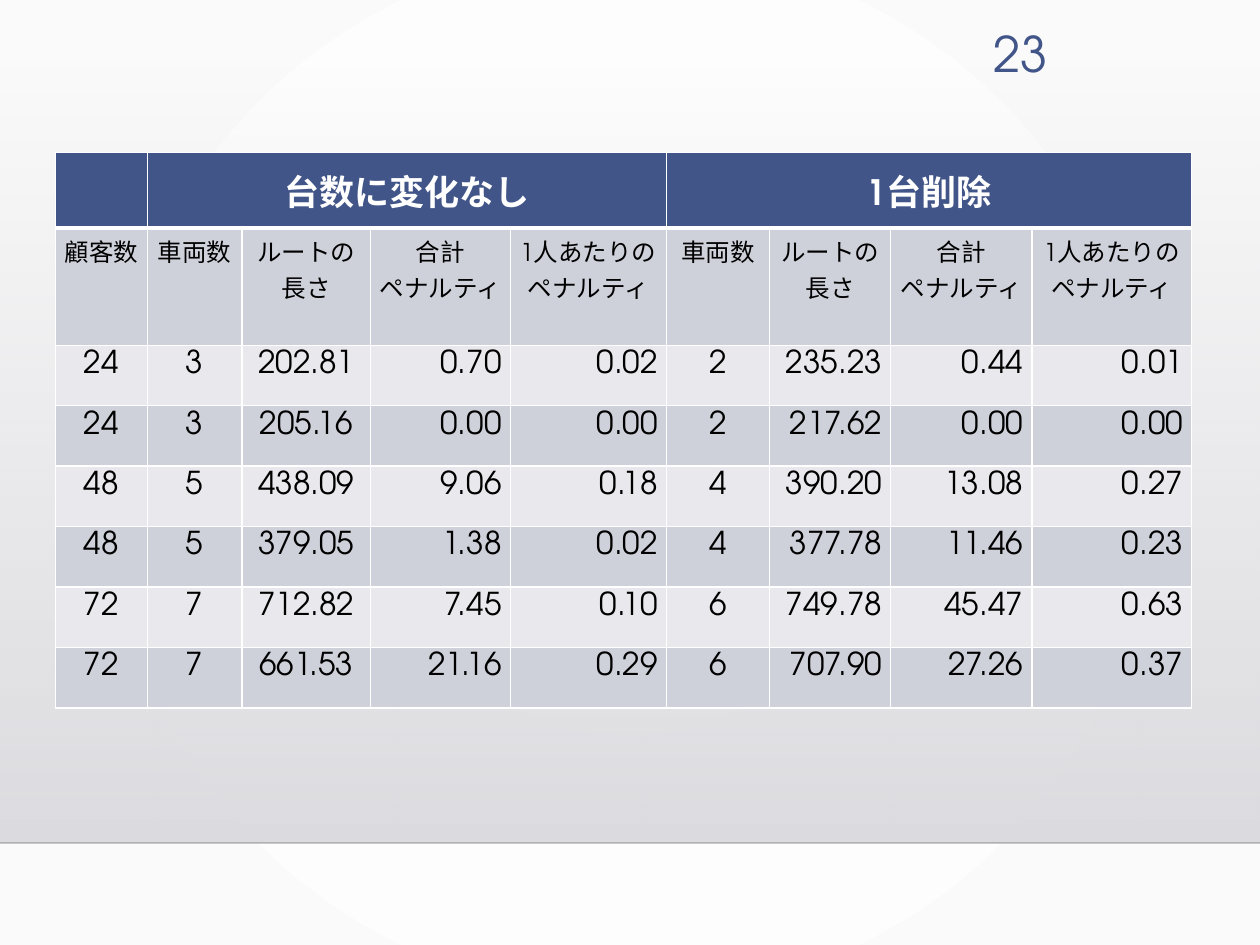
import pptx
import pptx.dml.color
import pptx.enum.shapes
import pptx.enum.text
import pptx.oxml
import pptx.oxml.ns
import pptx.util

WIDTH, HEIGHT = 10, 7.5
PANEL_TOP, PANEL_BOTTOM = 0.51, 6.69
FONT = "TeX Gyre Adventor"
NAVY, WHITE, BLACK = "415588", "FFFFFF", "000000"
BANDS = ["CFD1DA", "E9E9ED"]
ALIGN = pptx.enum.text.PP_ALIGN
ANCHOR = pptx.enum.text.MSO_ANCHOR

COLUMNS = [0.73, 0.75, 1.02, 1.11, 1.24, 0.82, 0.96, 1.12, 1.27]
HEADER_HEIGHT, BODY_HEIGHT = 0.6, 0.48
CENTERED = {0, 1, 2, 5}
GROUPS = {1: "台数に変化なし", 5: "1台削除"}
GROUP_SIZE = 4
HEADINGS = [
    "顧客数",
    "車両数", "ルートの長さ", "合計\nペナルティ", "1人あたりの\nペナルティ",
    "車両数", "ルートの\n長さ", "合計\nペナルティ", "1人あたりの\nペナルティ",
]
RESULTS = [
    ["24", "3", "202.81", "0.70", "0.02", "2", "235.23", "0.44", "0.01"],
    ["24", "3", "205.16", "0.00", "0.00", "2", "217.62", "0.00", "0.00"],
    ["48", "5", "438.09", "9.06", "0.18", "4", "390.20", "13.08", "0.27"],
    ["48", "5", "379.05", "1.38", "0.02", "4", "377.78", "11.46", "0.23"],
    ["72", "7", "712.82", "7.45", "0.10", "6", "749.78", "45.47", "0.63"],
    ["72", "7", "661.53", "21.16", "0.29", "6", "707.90", "27.26", "0.37"],
]


def color(code):
    return pptx.dml.color.RGBColor.from_string(code)


def inches(*values):
    return [pptx.util.Inches(value) for value in values]


def xml(tag, attributes="", inner=""):
    """Make one drawing element from its tag, attributes and content."""
    namespace = pptx.oxml.ns.nsdecls("a")
    return pptx.oxml.parse_xml(f"<a:{tag} {namespace} {attributes}>{inner}</a:{tag}>")


def set_alpha(parent, percent):
    parent.find(".//" + pptx.oxml.ns.qn("a:srgbClr")).append(
        xml("alpha", f'val="{percent * 1000}"'))


def set_gradient(fill, first, last):
    fill.gradient()
    for stop, code, position in zip(fill.gradient_stops, (first, last), (0, 1)):
        stop.color.rgb = color(code)
        stop.position = position


def write(frame, text, align, **formats):
    """Fill a text frame, one paragraph for each line of text."""
    frame.text = text
    for para in frame.paragraphs:
        para.alignment = align
        for span in para.runs:
            span.font.color.rgb = color(formats["rgb"])
            settings = {"name": FONT, "size": pptx.util.Pt(formats["size"]),
                        "bold": formats.get("bold", False)}
            for name, value in settings.items():
                setattr(span.font, name, value)


def add_background(page):
    set_gradient(page.background.fill, WHITE, "FAFAFA")
    linear = page.element.find(".//" + pptx.oxml.ns.qn("a:lin"))
    center = '<a:fillToRect l="50000" t="50000" r="50000" b="50000"/>'
    linear.getparent().replace(linear, xml("path", 'path="circle"', center))


def add_panel(page):
    panel = page.shapes.add_shape(
        pptx.enum.shapes.MSO_SHAPE.RECTANGLE,
        *inches(0, PANEL_TOP, WIDTH, PANEL_BOTTOM - PANEL_TOP))
    panel.shadow.inherit = False
    panel.line.fill.background()
    set_gradient(panel.fill, "DCDCE0", "DEDEE2")
    panel.fill.gradient_angle = 270
    set_alpha(panel.element.spPr, 0)


def add_floor_line(page):
    line = page.shapes.add_connector(
        pptx.enum.shapes.MSO_CONNECTOR.STRAIGHT,
        *inches(0, PANEL_BOTTOM, WIDTH, PANEL_BOTTOM))
    line.line.color.rgb = color("000001")
    line.line.width = pptx.util.Pt(1)
    set_alpha(line.element.spPr, 20)
    line.element.spPr.append(xml("effectLst"))


def style_cell(cell, fill, bottom=1):
    """Draw white borders, then the fill and the margins of a cell."""
    properties = cell._tc.get_or_add_tcPr()
    paint = f'<a:solidFill><a:srgbClr val="{WHITE}"/></a:solidFill>'
    for side, width in {"L": 1, "R": 1, "T": 1, "B": bottom}.items():
        properties.append(xml(f"ln{side}", f'w="{pptx.util.Pt(width)}"', paint))
    cell.fill.solid()
    cell.fill.fore_color.rgb = color(fill)
    margins = {"margin_left": 0.07, "margin_right": 0.07,
               "margin_top": 0.04, "margin_bottom": 0.04}
    for name, value in margins.items():
        setattr(cell, name, pptx.util.Inches(value))


def add_results_table(page):
    heights = [HEADER_HEIGHT] * 2 + [BODY_HEIGHT] * len(RESULTS)
    table = page.shapes.add_table(
        len(heights), len(COLUMNS),
        *inches(0.44, 1.21, sum(COLUMNS), sum(heights))).table
    for column, width in zip(table.columns, COLUMNS):
        column.width = pptx.util.Inches(width)
    for row, height in zip(table.rows, heights):
        row.height = pptx.util.Inches(height)

    # Group header
    for index in range(len(COLUMNS)):
        style_cell(table.cell(0, index), NAVY, bottom=3)
    for start, title in GROUPS.items():
        cell = table.cell(0, start)
        cell.merge(table.cell(0, start + GROUP_SIZE - 1))
        cell.vertical_anchor = ANCHOR.MIDDLE
        write(cell.text_frame, title, ALIGN.CENTER, size=20, rgb=WHITE, bold=True)

    # Column headings and results
    for number, texts in enumerate([HEADINGS] + RESULTS):
        heading = number == 0
        for index, text in enumerate(texts):
            cell = table.cell(number + 1, index)
            style_cell(cell, BANDS[number % 2])
            centered = heading or index in CENTERED
            write(cell.text_frame, text, ALIGN.CENTER if centered else ALIGN.RIGHT,
                  size=14 if heading else 18, rgb=BLACK)


def add_page_number(page, number):
    box = page.shapes.add_textbox(*inches(7.54, 0.14, 0.87, 0.55))
    box.text_frame.word_wrap = True
    write(box.text_frame, number, ALIGN.RIGHT, size=28, rgb=NAVY)


def main():
    deck = pptx.Presentation()
    deck.slide_width, deck.slide_height = inches(WIDTH, HEIGHT)
    page = deck.slides.add_slide(deck.slide_layouts[6])
    add_background(page)
    add_panel(page)
    add_floor_line(page)
    add_results_table(page)
    add_page_number(page, "23")
    deck.save("out.pptx")


if __name__ == "__main__":
    main()
